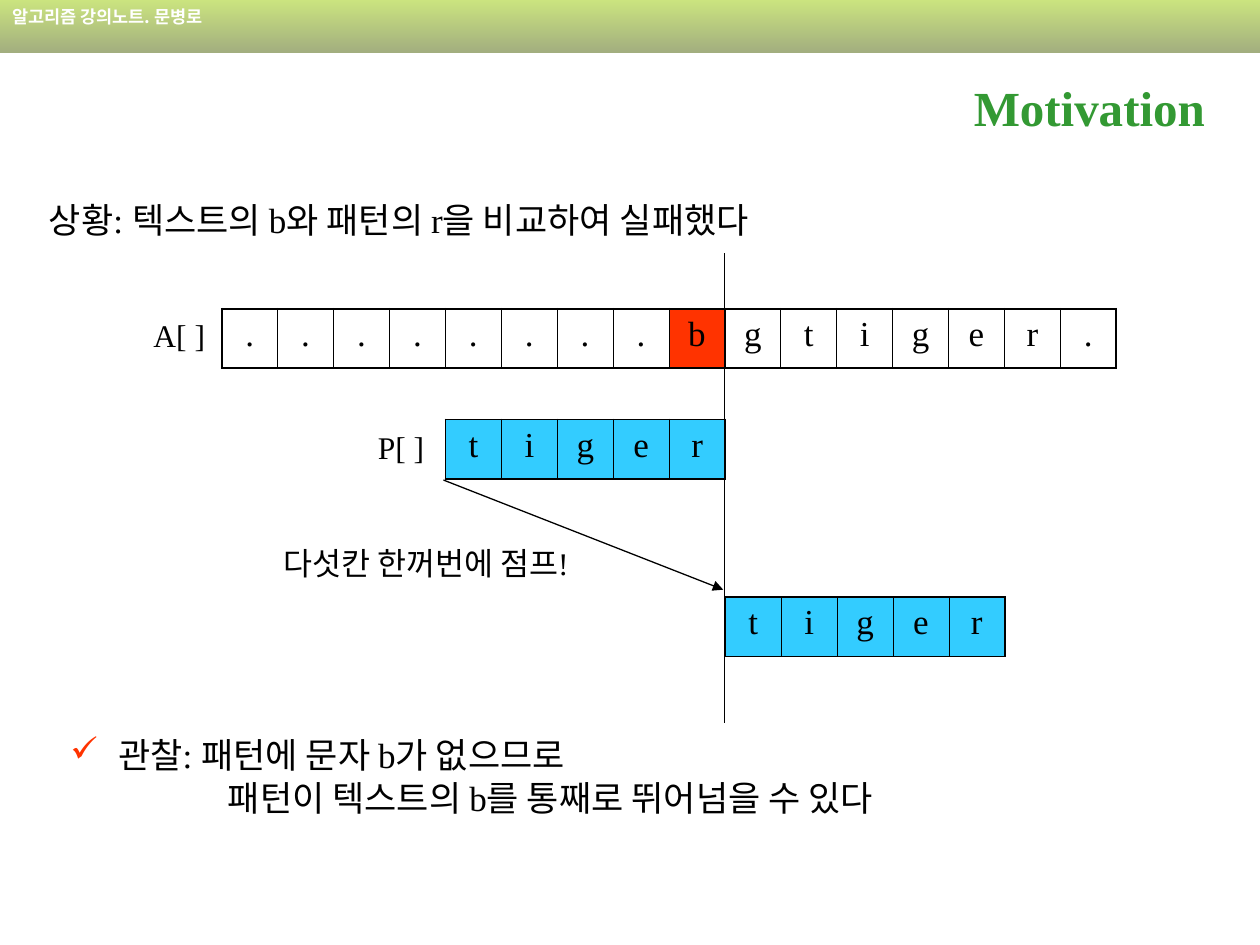
from dataclasses import dataclass

from lxml import etree
from pptx import Presentation
from pptx import util as u
from pptx.dml.color import RGBColor
from pptx.enum import shapes, text
from pptx.oxml import parse_xml
from pptx.oxml.ns import nsdecls, qn

LATIN, KOREAN = "Times New Roman", "Noto Sans CJK KR"
BLACK, WHITE, GREEN, RED, BLUE = "000000", "FFFFFF", "339933", "FF3300", "33CCFF"

# The slide is a grid of 100 columns by 75 rows
UNIT = u.Inches(0.1)
COLS, ROWS = 100, 75
CELL_W, CELL_H = 4.44, 4.7
ARRAY_LEFT = 17.6


def grid(*values: float) -> list[int]:
    return [round(v * UNIT) for v in values]


def color(value: str) -> RGBColor:
    return RGBColor.from_string(value)


@dataclass
class Strip:
    """A row of letter cells, shifted by whole cells from the array's start."""
    shift: int
    top: float
    letters: str
    fill: str = ""
    marked: int = -1


@dataclass
class Line:
    """One paragraph of text."""
    words: str
    left: float = 0
    hang: float = 0
    bullet: str = ""
    spacing: float = 1.0
    before: float = 0


@dataclass
class Note:
    """A text box: left, top, width, height in grid units."""
    box: tuple
    size: int
    lines: list


STRIPS = [
    Strip(0, 24.5, "........bgtiger.", marked=8),
    Strip(4, 33.3, "tiger", BLUE),
    Strip(9, 47.4, "tiger", BLUE),
]
NOTES = [
    Note((21.5, 42.7, 27, 4), 18, [Line("다섯칸 한꺼번에 점프!")]),
    Note((11.2, 24.6, 6.6, 4), 18, [Line("A[ ]")]),
    Note((29, 33.5, 6.6, 4), 18, [Line("P[ ]")]),
    Note((2.9, 15.9, 69.8, 3.7), 20,
         [Line("상황: 텍스트의 b와 패턴의 r을 비교하여 실패했다", 3.8, -3.8, spacing=0.8)]),
    Note((4.6, 58.4, 75.4, 7.1), 20, [
        Line("관찰: 패턴에 문자 b가 없으므로", 3.8, -3.8, "✓", 0.8),
        Line("패턴이 텍스트의 b를 통째로 뛰어넘을 수 있다", 12.5, spacing=0.8, before=5),
    ]),
]


def add_run(p, words: str, size: int, ink: str = BLACK, bold: bool = False,
            face: str = LATIN) -> None:
    r = p.add_run()
    r.text = words
    r.font.size, r.font.bold, r.font.name = u.Pt(size), bold, face
    r.font.color.rgb = color(ink)
    etree.SubElement(r.font._element, qn("a:ea"), typeface=KOREAN)


def add_header(s) -> None:
    sp = s.shapes.add_shape(shapes.MSO_SHAPE.RECTANGLE, *grid(0, 0, COLS, 4.2))
    sp.shadow.inherit = False
    sp.line.fill.background()
    sp.fill.gradient()
    sp.fill.gradient_angle = 270
    for stop, shade in zip(sp.fill.gradient_stops, ("99CC00", "475E00")):
        stop.color.rgb = color(shade)
    for node in sp._element.spPr.iter(qn("a:srgbClr")):
        etree.SubElement(node, qn("a:alpha"), val="50000")
    tf = sp.text_frame
    tf.vertical_anchor = text.MSO_ANCHOR.TOP
    p = tf.paragraphs[0]
    p.alignment = text.PP_ALIGN.LEFT
    add_run(p, "알고리즘 강의노트. 문병로", 10, WHITE, True, KOREAN)


def add_title(s, words: str) -> None:
    sp = s.shapes.title
    sp.left, sp.top, sp.width, sp.height = grid(72.9, 4.2, 27.1, 8.5)
    tf = sp.text_frame
    tf.auto_size = text.MSO_AUTO_SIZE.NONE
    tf.vertical_anchor = text.MSO_ANCHOR.MIDDLE
    p = tf.paragraphs[0]
    p.alignment = text.PP_ALIGN.CENTER
    add_run(p, words, 28, GREEN, True)


def set_borders(cell, first: bool, last: bool) -> None:
    thick, thin = u.Pt(1.08), u.Pt(0.45)
    widths = {"L": thick if first else thin, "R": thick if last else thin,
              "T": thick, "B": thick}
    for side, width in widths.items():
        cell._tc.get_or_add_tcPr().append(parse_xml(
            f'<a:ln{side} {nsdecls("a")} w="{width}"><a:solidFill>'
            f'<a:srgbClr val="{BLACK}"/></a:solidFill></a:ln{side}>'))


def add_strip(s, strip: Strip) -> None:
    n = len(strip.letters)
    box = grid(ARRAY_LEFT + strip.shift * CELL_W, strip.top, n * CELL_W, CELL_H)
    table = s.shapes.add_table(1, n, *box).table
    table.first_row = table.horz_banding = False
    for i, letter in enumerate(strip.letters):
        cell = table.cell(0, i)
        set_borders(cell, i == 0, i == n - 1)
        fill = RED if i == strip.marked else strip.fill
        if fill:
            cell.fill.solid()
            cell.fill.fore_color.rgb = color(fill)
        else:
            cell.fill.background()
        p = cell.text_frame.paragraphs[0]
        p.alignment = text.PP_ALIGN.CENTER
        add_run(p, letter, 20)


def add_line(s, start: tuple, end: tuple, arrow: bool = False) -> None:
    sp = s.shapes.add_connector(shapes.MSO_CONNECTOR.STRAIGHT, *grid(*start, *end))
    sp.line.width = u.Pt(0.75)
    sp.line.color.rgb = color(BLACK)
    if arrow:
        etree.SubElement(sp.line._get_or_add_ln(), qn("a:tailEnd"), type="triangle")
    etree.SubElement(sp._element.spPr, qn("a:effectLst"))


def add_note(s, note: Note) -> None:
    tf = s.shapes.add_textbox(*grid(*note.box)).text_frame
    tf.word_wrap = True
    for i, line in enumerate(note.lines):
        p = tf.add_paragraph() if i else tf.paragraphs[0]
        pPr = p._p.get_or_add_pPr()
        left, hang = grid(line.left, line.hang)
        pPr.set("marL", str(left))
        pPr.set("indent", str(hang))
        if line.bullet:
            mark = etree.SubElement(pPr, qn("a:buClr"))
            etree.SubElement(mark, qn("a:srgbClr"), val=RED)
            etree.SubElement(pPr, qn("a:buChar"), char=line.bullet)
        p.line_spacing = line.spacing
        p.space_before = u.Pt(line.before)
        add_run(p, line.words, note.size)


def main() -> None:
    prs = Presentation()
    prs.slide_width, prs.slide_height = grid(COLS, ROWS)
    s = prs.slides.add_slide(prs.slide_layouts[5])

    # Header band and title
    add_header(s)
    add_title(s, "Motivation")

    # Text array and both pattern positions
    for strip in STRIPS:
        add_strip(s, strip)

    # Jump arrow and comparison line
    add_line(s, (35.2, 38.1), (57.4, 46.8), arrow=True)
    add_line(s, (57.5, 20.1), (57.5, 57.4))

    # Labels and explanations
    for note in NOTES:
        add_note(s, note)

    prs.save("out.pptx")


if __name__ == "__main__":
    main()
